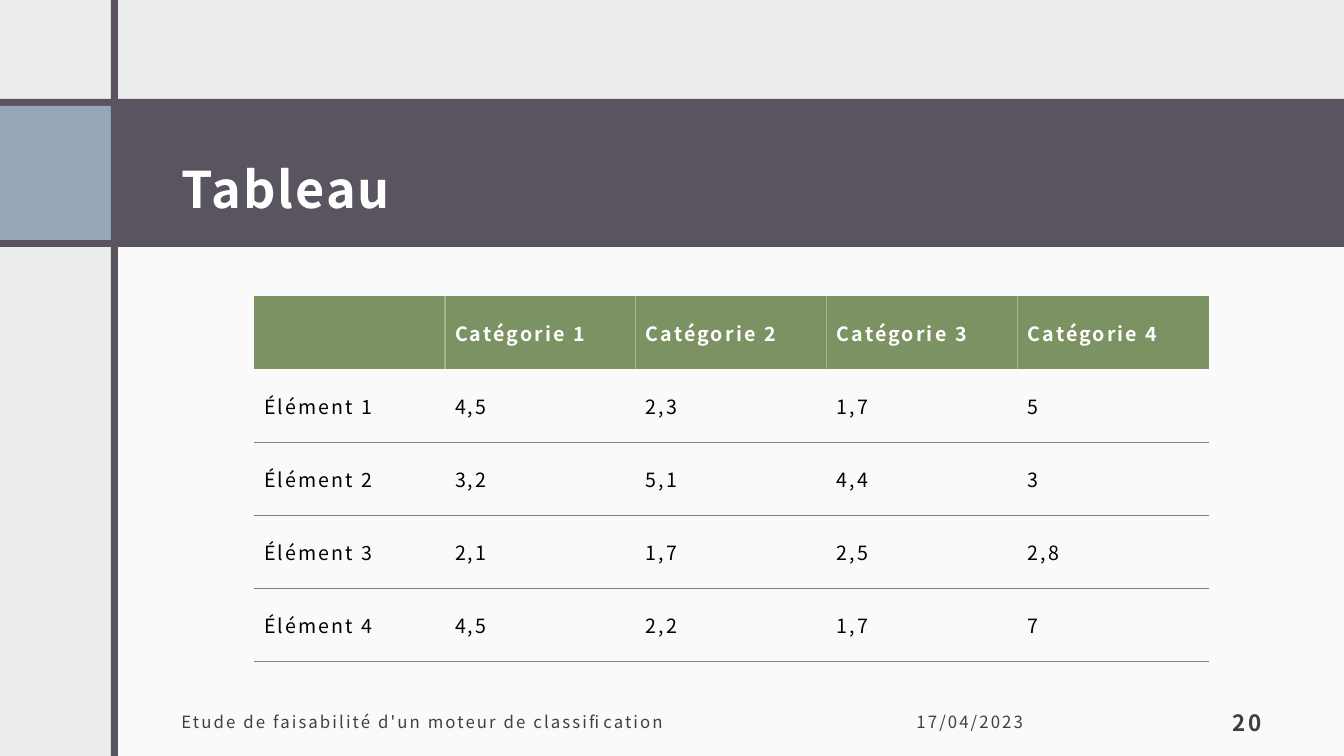
from lxml.etree import SubElement
from pptx import Presentation
from pptx.dml.color import RGBColor
from pptx.enum.shapes import MSO_SHAPE
from pptx.enum.text import MSO_ANCHOR, MSO_AUTO_SIZE, PP_ALIGN
from pptx.oxml.ns import qn
from pptx.util import Inches, Pt

COLORS = {
    "background": "EBEDEB", "panel": "FFFFFF", "band": "595460", "accent": "97A7B8",
    "header": "7D9263", "divider": "A5B592", "rule": "808080",
    "light": "FFFFFF", "dark": "000000", "footer": "404040",
}
FONT = "Noto Sans CJK JP"
NO_STYLE = "{2D5ABB26-0587-4C30-8999-92F81FD0307C}"

ROWS = [
    ["", "Catégorie 1", "Catégorie 2", "Catégorie 3", "Catégorie 4"],
    ["Élément 1", "4,5", "2,3", "1,7", "5"],
    ["Élément 2", "3,2", "5,1", "4,4", "3"],
    ["Élément 3", "2,1", "1,7", "2,5", "2,8"],
    ["Élément 4", "4,5", "2,2", "1,7", "7"],
]


def rgb(name):
    return RGBColor.from_string(COLORS[name])


class SlideBuilder:
    """Places elements on one slide; every box is given in percent of its size."""

    def __init__(self, deck):
        self.deck = deck
        self.slide = deck.slides.add_slide(deck.slide_layouts[5])
        background = self.slide.background.fill
        background.solid()
        background.fore_color.rgb = rgb("background")

    def place(self, left, top, width, height):
        across, down = self.deck.slide_width / 100, self.deck.slide_height / 100
        return [round(n) for n in (left * across, top * down, width * across, height * down)]

    def block(self, box, color, opacity=100):
        block = self.slide.shapes.add_shape(MSO_SHAPE.RECTANGLE, *self.place(*box))
        block.shadow.inherit = False
        block.line.fill.background()
        block.fill.solid()
        block.fill.fore_color.rgb = rgb(color)
        if opacity < 100:
            tint = block.fill._xPr.find(".//" + qn("a:srgbClr"))
            SubElement(tint, qn("a:alpha"), val=str(opacity * 1000))

    def style(self, paragraph, size, color, bold=False, align=PP_ALIGN.LEFT):
        paragraph.alignment = align
        font = paragraph.font
        font.name, font.size, font.bold = FONT, Pt(size), bold
        font.color.rgb = rgb(color)
        paragraph._p.find(".//" + qn("a:defRPr")).set("spc", "150")

    def fill_frame(self, frame, words, anchor):
        frame.word_wrap = True
        frame.auto_size = MSO_AUTO_SIZE.NONE
        frame.vertical_anchor = anchor
        frame.margin_left = frame.margin_right = frame.margin_top = Inches(0.12)
        frame.margin_bottom = Inches(0.1)
        frame.text = words
        return frame.paragraphs[0]

    def title(self, box, words):
        title = self.slide.shapes.title
        title.left, title.top, title.width, title.height = self.place(*box)
        heading = self.fill_frame(title.text_frame, words, MSO_ANCHOR.MIDDLE)
        heading.line_spacing = 1.5
        self.style(heading, 36, "light", bold=True)
        # Bring the title in front of the blocks
        self.slide.shapes._spTree.append(title._element)

    def label(self, box, words, size=12, anchor=MSO_ANCHOR.MIDDLE, **look):
        label = self.slide.shapes.add_textbox(*self.place(*box))
        self.style(self.fill_frame(label.text_frame, words, anchor), size, "footer", **look)

    def border(self, cell, side, color):
        line = SubElement(cell._tc.get_or_add_tcPr(), qn("a:" + side), w=str(Pt(1)))
        SubElement(SubElement(line, qn("a:solidFill")), qn("a:srgbClr"), val=COLORS[color])

    def table(self, box, rows):
        last = len(rows[0]) - 1
        table = self.slide.shapes.add_table(len(rows), last + 1, *self.place(*box)).table
        table.horz_banding = False
        table._tbl.tblPr.find(qn("a:tableStyleId")).text = NO_STYLE
        for r, row in enumerate(rows):
            for c, words in enumerate(row):
                cell = table.cell(r, c)
                cell.text = words
                cell.vertical_anchor = MSO_ANCHOR.MIDDLE
                header = r == 0
                self.style(cell.text_frame.paragraphs[0], 14,
                           "light" if header else "dark", bold=header)
                if header:
                    if c > 0:
                        self.border(cell, "lnL", "divider")
                    if c < last:
                        self.border(cell, "lnR", "divider")
                    cell.fill.solid()
                    cell.fill.fore_color.rgb = rgb("header")
                else:
                    self.border(cell, "lnB", "rule")
                    cell.fill.background()


def main():
    deck = Presentation()
    deck.slide_width, deck.slide_height = Inches(13.33), Inches(7.5)
    page = SlideBuilder(deck)

    page.block((8.55, 31.07, 91.45, 68.93), "panel", opacity=75)
    page.block((0, 13.07, 100, 19.6), "band")
    page.block((0, 14, 8.25, 17.73), "accent")
    page.block((8.25, 0, 0.53, 100), "band")

    page.title((12.6, 15.2, 82.14, 15.07), "Tableau")
    page.table((18.9, 39.2, 71.04, 48.27), ROWS)

    page.label((12.6, 92, 47.04, 6.67), "Etude de faisabilité d'un moteur de classification")
    page.label((67.29, 92, 17.63, 6.67), "17/04/2023")
    page.label((86.72, 92, 8.03, 6.67), "20", size=16, anchor=MSO_ANCHOR.BOTTOM,
               bold=True, align=PP_ALIGN.RIGHT)
    deck.save("out.pptx")


if __name__ == "__main__":
    main()
